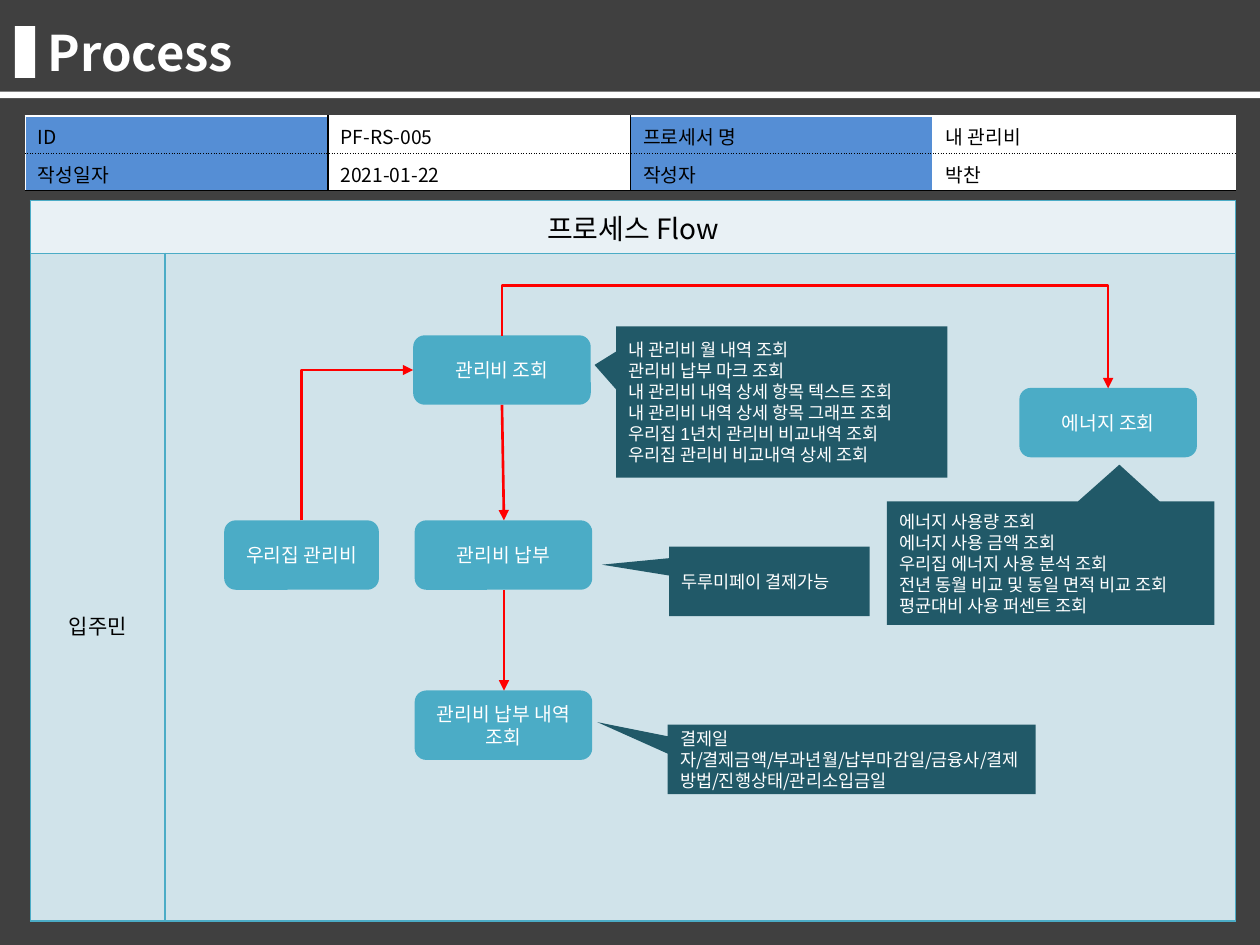
from dataclasses import dataclass

from lxml.etree import SubElement
from pptx import Presentation
from pptx.dml.color import RGBColor
from pptx.enum.shapes import MSO_CONNECTOR, MSO_SHAPE
from pptx.enum.text import MSO_ANCHOR, MSO_AUTO_SIZE, PP_ALIGN
from pptx.oxml import parse_xml
from pptx.oxml.ns import nsdecls, qn
from pptx.util import Cm, Pt

FONT = "Noto Sans CJK KR"
WHITE, BLACK, DARK = "FFFFFF", "000000", "404040"
BLUE, AQUA, TEAL, RED = "558ED5", "4BACC6", "215968", "FF0000"


@dataclass
class Step:
    text: str
    left: float
    top: float
    width: float = 3.58
    height: float = 1.4


@dataclass
class Callout:
    lines: list[str]
    box: tuple[float, float, float, float]
    tip: tuple[float, float]
    font: str = "Arial"


@dataclass
class Arrow:
    box: tuple[float, float, float, float]
    geom: str = "line"
    rot: int = 0
    flips: tuple[str, ...] = ()
    adj: int | None = None


@dataclass
class Edge:
    color: str
    dash: str = "solid"


STEPS = [
    Step("우리집 관리비", 4.52, 10.49, 3.12),
    Step("관리비 조회", 8.33, 6.76),
    Step("관리비 납부", 8.36, 10.49),
    Step("관리비 납부 내역 조회", 8.36, 13.92),
    Step("에너지 조회", 20.55, 7.82),
]
CALLOUTS = [
    Callout(["내 관리비 월 내역 조회", "관리비 납부 마크 조회",
             "내 관리비 내역 상세 항목 텍스트 조회",
             "내 관리비 내역 상세 항목 그래프 조회",
             "우리집 1년치 관리비 비교내역 조회",
             "우리집 관리비 비교내역 상세 조회"],
            (12.42, 6.58, 6.68, 3.05), (-0.565, -0.245)),
    Callout(["두루미페이 결제가능"], (13.49, 11.02, 4.04, 1.4), (-0.836, -0.24)),
    Callout(["결제일자/결제금액/부과년월/납부마감일/금융사/결제방법/진행상태/관리소입금일"],
            (13.46, 14.61, 7.42, 1.4), (-0.691, -0.537), FONT),
    Callout(["에너지 사용량 조회", "에너지 사용 금액 조회",
             "우리집 에너지 사용 분석 조회",
             "전년 동월 비교 및 동일 면적 비교 조회",
             "평균대비 사용 퍼센트 조회"],
            (17.88, 10.11, 6.6, 2.49), (0.21, -0.798)),
]
ARROWS = [
    Arrow((5.69, 7.85, 3.03, 2.25), "bentConnector2", 90, ("flipH", "flipV")),
    Arrow((10.12, 8.16, 0.04, 2.33)),
    Arrow((10.16, 11.89, 0, 2.03)),
    Arrow((15.7, 1.19, 1.06, 12.22), "bentConnector3", 270, ("flipH",), -96100),
]
INFO = [["ID", "PF-RS-005", "프로세서 명", "내 관리비"],
        ["작성일자", "2021-01-22", "작성자", "박찬"]]


def rgb(color: str) -> RGBColor:
    return RGBColor.from_string(color)


def write(tf, lines: list[str], size: float, color: str, align=PP_ALIGN.LEFT,
          font: str = FONT, bold: bool = False) -> None:
    for i, line in enumerate(lines):
        p = tf.paragraphs[0] if i == 0 else tf.add_paragraph()
        p.alignment = align
        r = p.add_run()
        r.text = line
        for name, value in {"name": font, "size": Pt(size), "bold": bold}.items():
            setattr(r.font, name, value)
        r.font.color.rgb = rgb(color)
        SubElement(r.font._element, qn("a:ea")).set("typeface", FONT)


def add_box(s, kind, box: tuple, fill: str):
    sp = s.shapes.add_shape(kind, *map(Cm, box))
    sp.shadow.inherit = False
    sp.fill.solid()
    sp.fill.fore_color.rgb = rgb(fill)
    sp.line.fill.background()
    sp.text_frame.word_wrap = True
    sp.text_frame.vertical_anchor = MSO_ANCHOR.MIDDLE
    return sp


def add_arrow(s, arrow: Arrow) -> None:
    left, top, width, height = arrow.box
    cxn = s.shapes.add_connector(MSO_CONNECTOR.STRAIGHT, Cm(left), Cm(top),
                                 Cm(left + width), Cm(top + height))
    cxn.line.color.rgb = rgb(RED)
    cxn.line.width = Pt(1.5)
    sp_pr = cxn.element.spPr
    # Turn and bend the connector
    xfrm = sp_pr.find(qn("a:xfrm"))
    xfrm.set("rot", str(arrow.rot * 60000))
    for flip in arrow.flips:
        xfrm.set(flip, "1")
    geom = sp_pr.find(qn("a:prstGeom"))
    geom.set("prst", arrow.geom)
    if arrow.adj is not None:
        gd = SubElement(geom.find(qn("a:avLst")), qn("a:gd"))
        gd.set("name", "adj1")
        gd.set("fmla", f"val {arrow.adj}")
    SubElement(sp_pr.find(qn("a:ln")), qn("a:tailEnd")).set("type", "triangle")
    SubElement(sp_pr, qn("a:effectLst"))


def add_grid(s, left: float, top: float, cols: list[float], rows: list[float]):
    table = s.shapes.add_table(len(rows), len(cols), Cm(left), Cm(top),
                               Cm(sum(cols)), Cm(sum(rows))).table
    table.first_row = table.horz_banding = False
    for col, width in zip(table.columns, cols):
        col.width = Cm(width)
    for row, height in zip(table.rows, rows):
        row.height = Cm(height)
    return table


def style_cell(cell, fill: str, edges: list[Edge]) -> None:
    cell.fill.solid()
    cell.fill.fore_color.rgb = rgb(fill)
    tc_pr = cell._tc.get_or_add_tcPr()
    for i, (side, edge) in enumerate(zip("LRTB", edges)):
        tc_pr.insert(i, parse_xml(
            f'<a:ln{side} {nsdecls("a")} w="12700"><a:solidFill><a:srgbClr val="{edge.color}"/>'
            f'</a:solidFill><a:prstDash val="{edge.dash}"/></a:ln{side}>'))


prs = Presentation()
prs.slide_width, prs.slide_height = Cm(25.4), Cm(19.05)
s = prs.slides.add_slide(prs.slide_layouts[5])

# Backdrop and title
add_box(s, MSO_SHAPE.RECTANGLE, (0, 0, 25.4, 19.05), DARK)
title = s.shapes.title
s.shapes.element.append(title.element)
for name, value in {"left": 0.71, "top": 0.33, "width": 22.81, "height": 1.45}.items():
    setattr(title, name, Cm(value))
tf = title.text_frame
for name, value in {"auto_size": MSO_AUTO_SIZE.NONE, "word_wrap": True,
                    "vertical_anchor": MSO_ANCHOR.MIDDLE}.items():
    setattr(tf, name, value)
write(tf, ["Process"], 28, WHITE, bold=True)
for box in [(0.3, 0.53, 0.41, 1.04), (0, 1.85, 25.4, 0.13)]:
    add_box(s, MSO_SHAPE.RECTANGLE, box, WHITE)

# Lane table
lane = add_grid(s, 0.61, 4.04, [2.72, 21.58], [1.07, 13.46])
lane.cell(0, 0).merge(lane.cell(0, 1))
for row, fill in enumerate(["E9F1F5", "D0E3EA"]):
    for col in range(2):
        style_cell(lane.cell(row, col), fill, [Edge(AQUA)] * 4)
for row, (text, size) in enumerate([("프로세스 Flow", 16), ("입주민", 12)]):
    cell = lane.cell(row, 0)
    cell.vertical_anchor = MSO_ANCHOR.MIDDLE
    write(cell.text_frame, [text], size, BLACK, PP_ALIGN.CENTER)
lane.cell(1, 0).margin_top = Cm(1.65)

# Document information
info = add_grid(s, 0.51, 2.34, [6.1] * 4, [0.75] * 2)
uprights = [Edge(c) for c in (WHITE, BLACK, BLACK, WHITE, WHITE)]
levels = [Edge(WHITE), Edge(BLACK, "sysDot"), Edge(BLACK)]
for row, texts in enumerate(INFO):
    for col, text in enumerate(texts):
        cell = info.cell(row, col)
        cell.margin_bottom = Cm(0)
        write(cell.text_frame, [text], 11, BLACK)
        style_cell(cell, WHITE if col % 2 else BLUE,
                   uprights[col:col + 2] + levels[row:row + 2])

# Process flow
for step in STEPS:
    sp = add_box(s, MSO_SHAPE.ROUNDED_RECTANGLE,
                 (step.left, step.top, step.width, step.height), AQUA)
    write(sp.text_frame, [step.text], 11, WHITE, PP_ALIGN.CENTER)
for note in CALLOUTS:
    sp = add_box(s, MSO_SHAPE.RECTANGULAR_CALLOUT, note.box, TEAL)
    for i, offset in enumerate(note.tip):
        sp.adjustments[i] = offset
    write(sp.text_frame, note.lines, 10, WHITE, font=note.font)
for arrow in ARROWS:
    add_arrow(s, arrow)

prs.save("out.pptx")
